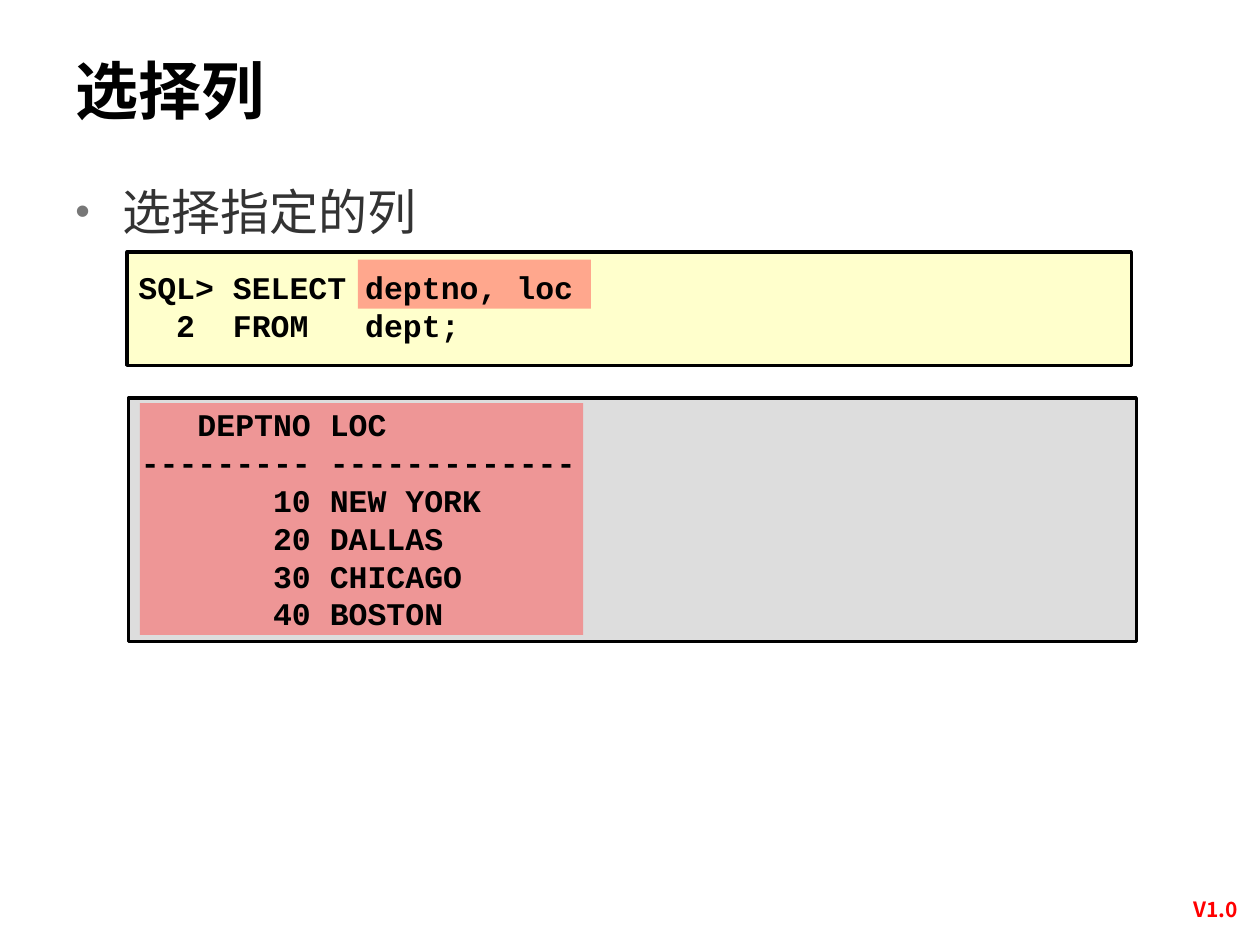
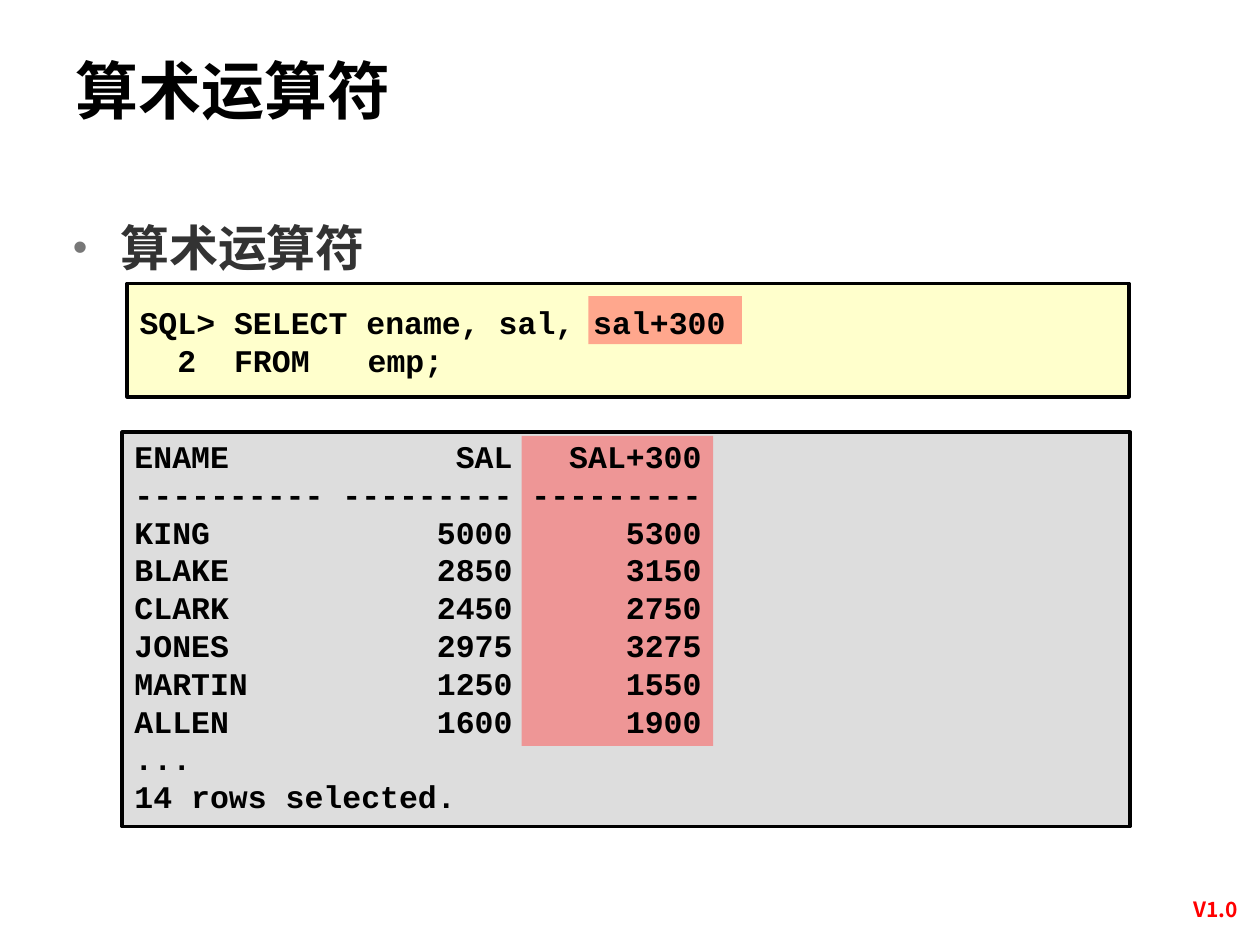
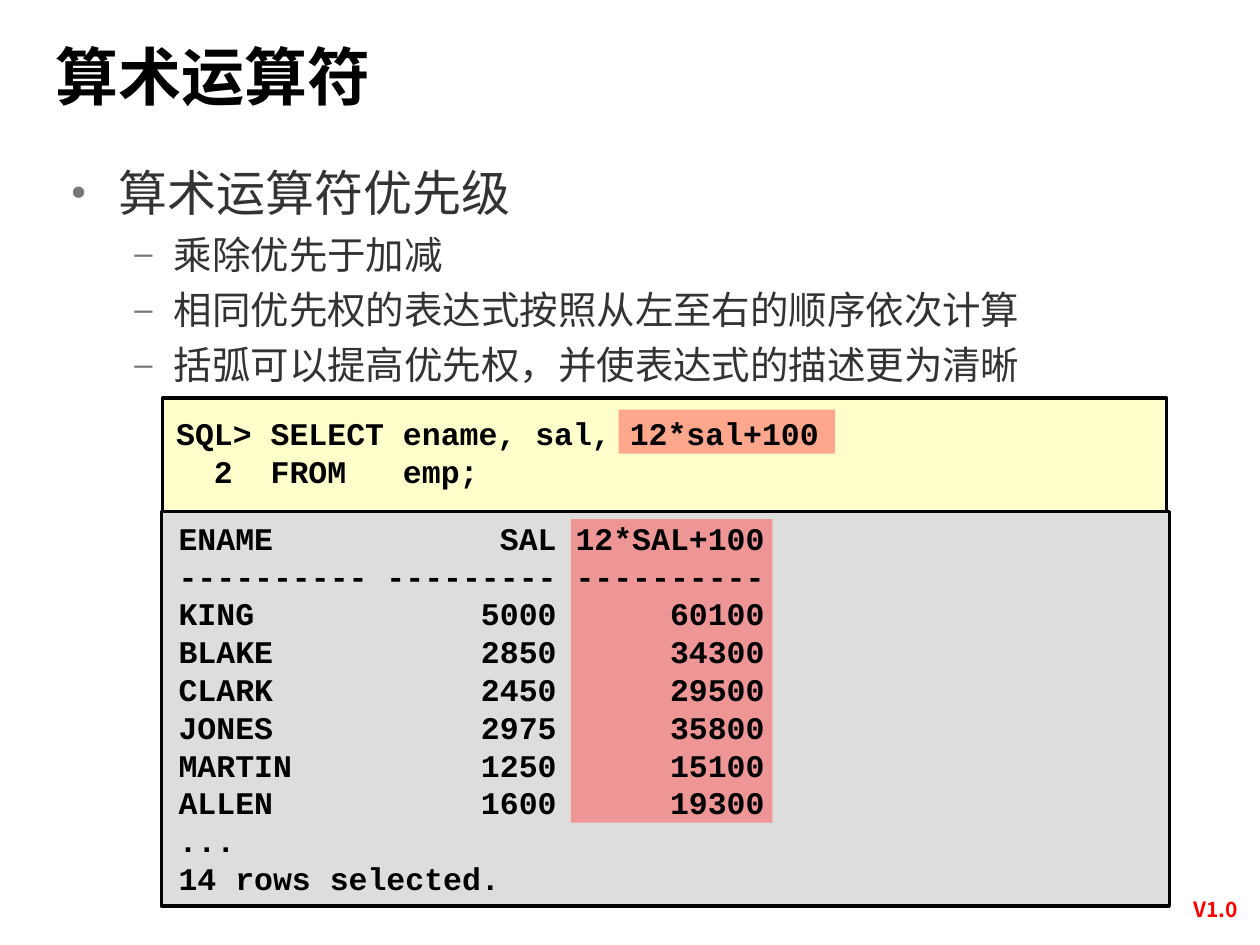
from dataclasses import dataclass

from lxml.etree import SubElement
from pptx import Presentation
from pptx.dml.color import RGBColor as RGB
from pptx.enum.shapes import MSO_SHAPE as SHAPE
from pptx.enum.text import MSO_ANCHOR as ANCHOR, PP_ALIGN as ALIGN
from pptx.oxml.ns import qn
from pptx.util import Pt


@dataclass(frozen=True)
class Theme:
    black: RGB = RGB.from_string("000000")
    body: RGB = RGB.from_string("333333")
    version: RGB = RGB.from_string("FF0000")
    query: RGB = RGB.from_string("FFFFCC")
    result: RGB = RGB.from_string("DDDDDD")
    highlight: RGB = RGB.from_string("FF5050")
    bullet: str = "777777"
    sans: str = "Noto Sans CJK SC"
    mono: str = "Courier New"
    title_size: int = 36
    body_sizes: tuple = (28, 22)
    code_size: int = 18
    version_size: int = 12
    leading: float = 1.2


T = Theme()


def add_rect(s, frame, fill, alpha=None):
    """Outlined panel, or a borderless translucent highlight if alpha is given."""
    sp = s.shapes.add_shape(SHAPE.RECTANGLE, *map(Pt, frame))
    sp.shadow.inherit = False
    sp.fill.solid()
    sp.fill.fore_color.rgb = fill
    if alpha is None:
        sp.line.color.rgb = T.black
        sp.line.width = Pt(2)
    else:
        sp.line.fill.background()
        color = sp.element.spPr.find(qn("a:solidFill"))[0]
        SubElement(color, qn("a:alpha"), val=str(alpha * 1000))


def add_run(p, text, size, font, color, bold=True):
    r = p.add_run()
    r.text = text
    r.font.size, r.font.name, r.font.bold = Pt(size), font, bold
    r.font.color.rgb = color
    SubElement(r.font._element, qn("a:ea"), typeface=font)


# Query results: column formats and rows
depts = [("DEPTNO", "LOC"), (10, "NEW YORK"), (20, "DALLAS"),
         (30, "CHICAGO"), (40, "BOSTON")]
salaries = {"KING": 5000, "BLAKE": 2850, "CLARK": 2450,
            "JONES": 2975, "MARTIN": 1250, "ALLEN": 1600}
raised = [("ENAME", "SAL", "SAL+300")]
raised += [(name, sal, sal + 300) for name, sal in salaries.items()]
yearly = [("ENAME", "SAL", "12*SAL+100")]
yearly += [(name, sal, 12 * sal + 100) for name, sal in salaries.items()]
more = ["...", "14 rows selected."]

# Content of the slides; frames are left, top, width, height in points
slides = [
    dict(title="选择列", title_at=(36, 21.6),
         bullets=[(0, "选择指定的列")], bullets_at=(36, 90, 647.3, 383.8),
         bullets_bold=False, spread=1.2,
         query=["SQL> SELECT deptno, loc", "  2  FROM   dept;"],
         query_panel=(72.7, 144, 573.8, 64.8), query_at=(72, 141.1, 576, 67),
         formats=(">9", "<13"), rows=depts, tail=[],
         result_panel=(73.4, 227.5, 576, 139),
         result_at=(73.4, 228.2, 573.8, 136.8),
         highlights=[(204.5, 148.3, 133.2, 28.1), (79.9, 230.4, 253.4, 132.5)]),
    dict(title="算术运算符", title_at=(36, 21.6),
         bullets=[(0, "算术运算符")], bullets_at=(34.6, 117.4, 619.2, 41),
         bullets_bold=True, spread=1,
         query=["SQL> SELECT ename, sal, sal+300", "  2  FROM\temp;"],
         query_panel=(72.7, 162, 572.4, 64.8), query_at=(72.7, 161.3, 573.8, 67),
         formats=("<10", ">9", ">9"), rows=raised, tail=more,
         result_panel=(69.8, 247, 576, 225.4),
         result_at=(69.8, 246.2, 578.2, 223.2),
         highlights=[(336.2, 169.2, 87.8, 27.4), (298.1, 249.1, 109.4, 177.1)]),
    dict(title="算术运算符", title_at=(24.5, 13.7),
         bullets=[(0, "算术运算符优先级"),
                  (1, "乘除优先于加减"),
                  (1, "相同优先权的表达式按照从左至右的顺序依次计算"),
                  (1, "括弧可以提高优先权，并使表达式的描述更为清晰")],
         bullets_at=(33.8, 79.2, 619.2, 170.6), bullets_bold=False, spread=1.2,
         query=["SQL> SELECT ename, sal, 12*sal+100", "  2  FROM   emp;"],
         query_panel=(92.9, 227.5, 573.8, 64.8), query_at=(93.6, 224.6, 576, 67),
         formats=("<10", ">9", ">10"), rows=yearly, tail=more,
         result_panel=(92.2, 292.3, 576, 225.4),
         result_at=(95, 293, 573.8, 223.2),
         highlights=[(353.5, 234, 123.8, 25.2), (326.2, 296.6, 115.2, 173.5)]),
]
levels = [("•", 27, -27), ("–", 58.5, -22.5)]  # bullet, margin, indent
tab_stops = (94.3, 130.3)

prs = Presentation()
prs.slide_width, prs.slide_height = Pt(720), Pt(540)
layout = prs.slide_layouts[5]

for number, d in enumerate(slides):
    s = prs.slides.add_slide(layout)

    # Version mark, moved to the shared layout
    if number == 0:
        box = s.shapes.add_textbox(Pt(666), Pt(509), Pt(57), Pt(21.6))
        p = box.text_frame.paragraphs[0]
        p.alignment = ALIGN.CENTER
        p.line_spacing = Pt(T.version_size * T.leading)
        add_run(p, "V1.0", T.version_size, T.sans, T.version)
        layout.shapes.element.append(box.element)

    # Title
    title = s.shapes.title
    title.left, title.top = map(Pt, d["title_at"])
    title.width, title.height = Pt(573.8), Pt(55.4)
    tf = title.text_frame
    tf.vertical_anchor = ANCHOR.MIDDLE
    tf.margin_top = Pt(7)
    p = tf.paragraphs[0]
    p.alignment = ALIGN.LEFT
    p.line_spacing = Pt(T.title_size * T.leading)
    add_run(p, d["title"], T.title_size, T.sans, T.black)

    # Bullets
    tf = s.shapes.add_textbox(*map(Pt, d["bullets_at"])).text_frame
    tf.word_wrap = True
    tf.margin_top = Pt(7)
    for i, (level, text) in enumerate(d["bullets"]):
        p = tf.add_paragraph() if i else tf.paragraphs[0]
        size = T.body_sizes[level]
        char, margin, indent = levels[level]
        p.level = level
        p.line_spacing = Pt(round(size * T.leading * d["spread"], 1))
        pPr = p._p.get_or_add_pPr()
        pPr.set("marL", str(Pt(margin)))
        pPr.set("indent", str(Pt(indent)))
        SubElement(SubElement(pPr, qn("a:buClr")), qn("a:srgbClr"), val=T.bullet)
        SubElement(pPr, qn("a:buSzPct"), val="85000")
        SubElement(pPr, qn("a:buFont"), typeface="Arial")
        SubElement(pPr, qn("a:buChar"), char=char)
        add_run(p, text, size, T.sans, T.body, d["bullets_bold"])

    # Panels and highlights
    add_rect(s, d["query_panel"], T.query)
    add_rect(s, d["result_panel"], T.result)
    for frame in d["highlights"]:
        add_rect(s, frame, T.highlight, alpha=50)

    # Query and its result, set in fixed-width columns
    header, *rows = d["rows"]
    rules = ["-" * int(f[1:]) for f in d["formats"]]
    result = [" ".join(map(format, map(str, row), d["formats"])).rstrip()
              for row in (header, rules, *rows)] + d["tail"]
    for frame, lines, anchor, stops in (
            (d["query_at"], d["query"], ANCHOR.MIDDLE, tab_stops),
            (d["result_at"], result, ANCHOR.TOP, ())):
        tf = s.shapes.add_textbox(*map(Pt, frame)).text_frame
        tf.word_wrap = True
        tf.vertical_anchor = anchor
        for i, line in enumerate(lines):
            p = tf.add_paragraph() if i else tf.paragraphs[0]
            if stops:
                tabs = SubElement(p._p.get_or_add_pPr(), qn("a:tabLst"))
                for stop in stops:
                    SubElement(tabs, qn("a:tab"), pos=str(Pt(stop)), algn="l")
            add_run(p, line, T.code_size, T.mono, T.black)

prs.save("out.pptx")
